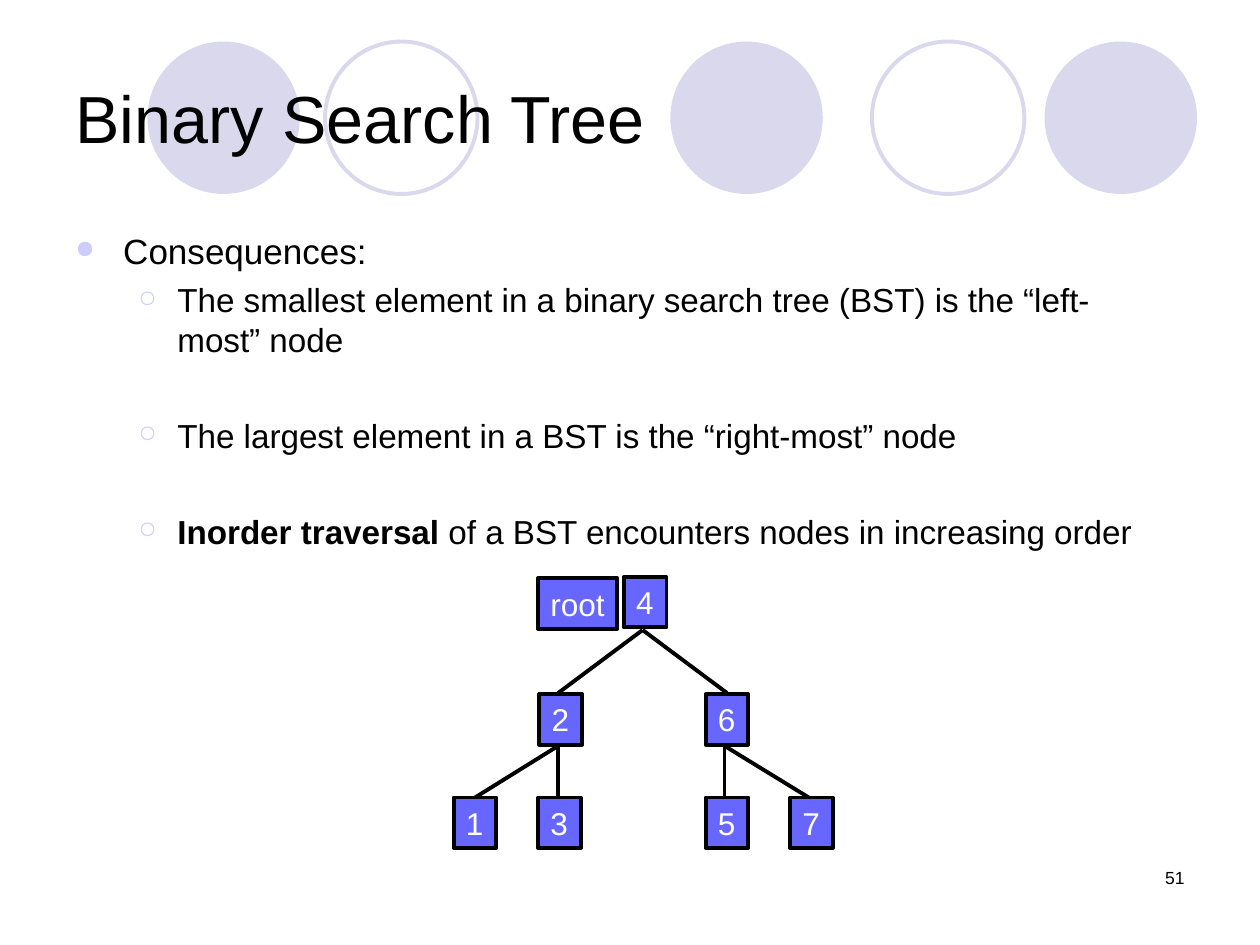
"""Build the slide on the consequences of binary search tree ordering."""
from dataclasses import dataclass

from lxml import etree
from pptx import Presentation
from pptx.dml.color import RGBColor
from pptx.enum.shapes import MSO_CONNECTOR as CONN, MSO_SHAPE as SHAPE
from pptx.enum.text import MSO_ANCHOR as ANCHOR, PP_ALIGN as ALIGN
from pptx.oxml.ns import qn
from pptx.util import Inches, Pt


@dataclass(frozen=True)
class Theme:
    font: str = "Arial"
    black: RGBColor = RGBColor(0, 0, 0)
    white: RGBColor = RGBColor(255, 255, 255)
    node: RGBColor = RGBColor(0x67, 0x67, 0xFF)
    circle: RGBColor = RGBColor(0xD9, 0xD8, 0xEC)
    bullet: str = "CCCCFF"
    title_size: float = 38
    body_size: float = 20
    sub_size: float = 19
    node_size: float = 18
    number_size: float = 10
    line_width: float = 2.25


T = Theme()


def add_run(p, text, size, color=T.black, bold=False):
    r = p.add_run()
    r.text = text
    r.font.name = T.font
    r.font.size = Pt(size)
    r.font.color.rgb = color
    r.font.bold = bold


def add_text_box(x, y, w, h, anchor=ANCHOR.TOP):
    tf = s.shapes.add_textbox(Inches(x), Inches(y), Inches(w), Inches(h)).text_frame
    tf.word_wrap = True
    tf.vertical_anchor = anchor
    return tf


prs = Presentation()
prs.slide_width, prs.slide_height = Inches(10), Inches(7.5)
s = prs.slides.add_slide(prs.slide_layouts[6])

for x, filled in [(5.32, True), (8.29, True), (1.17, True), (6.92, False), (2.58, False)]:
    sp = s.shapes.add_shape(SHAPE.OVAL, Inches(x), Inches(0.33), Inches(1.21), Inches(1.21))
    sp.shadow.inherit = False
    if filled:
        sp.fill.solid()
        sp.fill.fore_color.rgb = T.circle
        sp.line.fill.background()
    else:
        sp.fill.background()
        sp.line.color.rgb = T.circle
        sp.line.width = Pt(T.line_width)

tf = add_text_box(0.5, 0.3, 9, 1.25, ANCHOR.MIDDLE)
add_run(tf.paragraphs[0], "Binary Search Tree", T.title_size)

bullets = [
    (0, 0, [("Consequences:", False)]),
    (1, 4.8, [("The smallest element in a binary search tree (BST) is the “left-most” node", False)]),
    (1, 32, [("The largest element in a BST is the “right-most” node", False)]),
    (1, 32, [("Inorder traversal", True), (" of a BST encounters nodes in increasing order", False)]),
]
levels = [("●", 0.38, -0.38, T.body_size), ("○", 0.81, -0.31, T.sub_size)]
tf = add_text_box(0.5, 1.77, 8.83, 2.81)
for i, (level, before, runs) in enumerate(bullets):
    char, margin, indent, size = levels[level]
    p = tf.add_paragraph() if i else tf.paragraphs[0]
    p.level = level
    p.space_before = Pt(before)
    pPr = p._p.get_or_add_pPr()
    pPr.set("marL", str(Inches(margin)))
    pPr.set("indent", str(Inches(indent)))
    clr = etree.SubElement(pPr, qn("a:buClr"))
    etree.SubElement(clr, qn("a:srgbClr"), val=T.bullet)
    etree.SubElement(pPr, qn("a:buSzPct"), val="70000")
    etree.SubElement(pPr, qn("a:buChar"), char=char)
    for text, bold in runs:
        add_run(p, text, size, bold=bold)

nodes = [
    ("4", 4.95, 4.58, 0.34), ("2", 4.28, 5.51, 0.34), ("6", 5.6, 5.51, 0.34),
    ("1", 3.6, 6.33, 0.34), ("3", 4.27, 6.33, 0.34), ("7", 6.27, 6.33, 0.34),
    ("5", 5.6, 6.33, 0.34), ("root", 4.27, 4.59, 0.63),
]
for text, x, y, w in nodes:
    sp = s.shapes.add_shape(SHAPE.RECTANGLE, Inches(x), Inches(y), Inches(w), Inches(0.4))
    sp.shadow.inherit = False
    sp.fill.solid()
    sp.fill.fore_color.rgb = T.node
    sp.line.color.rgb = T.black
    sp.line.width = Pt(T.line_width)
    tf = sp.text_frame
    tf.word_wrap = False
    tf.vertical_anchor = ANCHOR.TOP
    p = tf.paragraphs[0]
    p.alignment = ALIGN.LEFT
    add_run(p, text, T.node_size, T.white)

branches = [
    (5.1, 5, 5.5, [4.43, 5.77]),
    (4.43, 5.92, 6.33, [3.77, 4.43]),
    (5.75, 5.92, 6.33, [5.75, 6.42]),
]
for x, top, bottom, children in branches:
    for child in children:
        edge = s.shapes.add_connector(CONN.STRAIGHT, Inches(x), Inches(top), Inches(child), Inches(bottom))
        edge.line.color.rgb = T.black
        edge.line.width = Pt(T.line_width)
        etree.SubElement(edge._element.spPr, qn("a:effectLst"))

p = add_text_box(7.17, 6.83, 2.33, 0.5).paragraphs[0]
p.alignment = ALIGN.RIGHT
add_run(p, "51", T.number_size)

prs.save("out.pptx")
